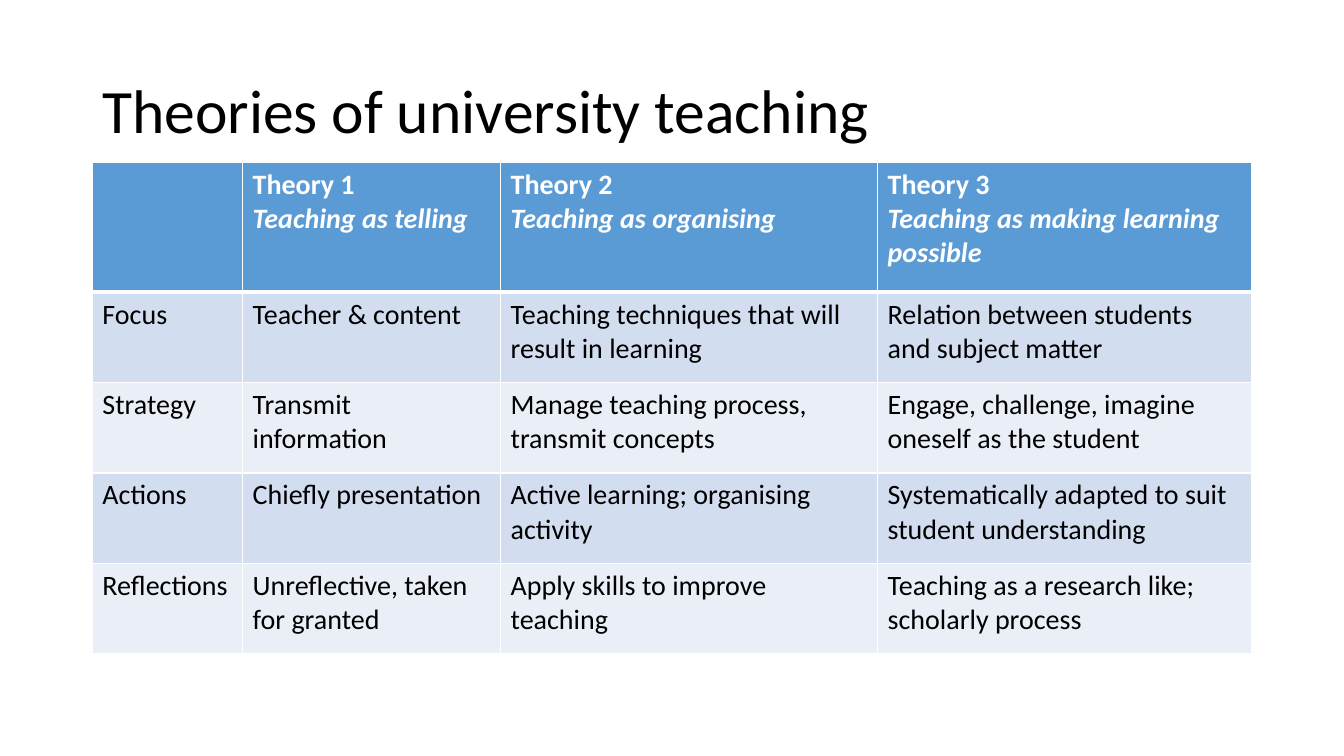
from dataclasses import dataclass

from lxml.etree import SubElement as Sub
from pptx import Presentation
from pptx.dml.color import RGBColor as RGB
from pptx.enum.text import MSO_ANCHOR as Anchor
from pptx.oxml.ns import qn
from pptx.util import Pt


@dataclass(frozen=True)
class Theme:
    font: str = "Calibri"
    ink: str = "000000"
    white: str = "FFFFFF"
    head: str = "5B9BD5"
    bands: tuple = ("D2DEEF", "EAEFF7")
    title: int = 44
    body: int = 20
    thin: int = 1
    thick: int = 3


THEME = Theme()

TITLE = "Theories of university teaching"
THEORIES = [
    ("Theory 1", "Teaching as telling"),
    ("Theory 2", "Teaching as organising"),
    ("Theory 3", "Teaching as making learning possible"),
]
ASPECTS = [
    ("Focus", "Teacher & content",
     "Teaching techniques that will result in learning",
     "Relation between students and subject matter"),
    ("Strategy", "Transmit information",
     "Manage teaching process, transmit concepts",
     "Engage, challenge, imagine oneself as the student"),
    ("Actions", "Chiefly presentation",
     "Active learning; organising activity",
     "Systematically adapted to suit student understanding"),
    ("Reflections", "Unreflective, taken for granted",
     "Apply skills to improve teaching",
     "Teaching as a research like; scholarly process"),
]
WIDTHS = (107.3, 184.3, 269.3, 267.1)
HEIGHTS = (92.8,) + (64.6,) * len(ASPECTS)


def add_run(para, text, size, color, bold=False, italic=False):
    run = para.add_run()
    run.text = text
    font = run.font
    font.name, font.size = THEME.font, Pt(size)
    font.bold, font.italic = bold, italic
    font.color.rgb = RGB.from_string(color)


def add_title(slide, text):
    box = slide.shapes.add_textbox(Pt(66), Pt(28.8), Pt(828), Pt(104.4))
    frame = box.text_frame
    frame.word_wrap = True
    frame.vertical_anchor = Anchor.MIDDLE
    para = frame.paragraphs[0]
    para.line_spacing = 0.9
    add_run(para, text, THEME.title, THEME.ink)


def set_edges(cell, top, bottom):
    """Draw white borders; top and bottom are widths in points."""
    props = cell._tc.get_or_add_tcPr()
    edges = {"L": THEME.thin, "R": THEME.thin, "T": top, "B": bottom}
    for side, width in edges.items():
        line = Sub(props, qn(f"a:ln{side}"), w=str(Pt(width)))
        fill = Sub(line, qn("a:solidFill"))
        Sub(fill, qn("a:srgbClr"), val=THEME.white)


def paint(cell, color, top=THEME.thin, bottom=THEME.thin):
    # Borders come before the fill in the cell properties
    set_edges(cell, top, bottom)
    cell.fill.solid()
    cell.fill.fore_color.rgb = RGB.from_string(color)


def fill_head(table):
    for cell in table.rows[0].cells:
        paint(cell, THEME.head, bottom=THEME.thick)
    for col, (name, motto) in enumerate(THEORIES, 1):
        frame = table.cell(0, col).text_frame
        add_run(frame.paragraphs[0], name, THEME.body, THEME.white, bold=True)
        add_run(frame.add_paragraph(), motto, THEME.body, THEME.white,
                bold=True, italic=True)


def fill_body(table):
    for row, texts in enumerate(ASPECTS, 1):
        band = THEME.bands[(row - 1) % 2]
        top = THEME.thick if row == 1 else THEME.thin
        for col, text in enumerate(texts):
            cell = table.cell(row, col)
            paint(cell, band, top=top)
            add_run(cell.text_frame.paragraphs[0], text, THEME.body, THEME.ink)


def add_grid(slide):
    frame = slide.shapes.add_table(
        len(HEIGHTS), len(WIDTHS), Pt(66), Pt(116),
        Pt(sum(WIDTHS)), Pt(sum(HEIGHTS)))
    table = frame.table
    for col, width in zip(table.columns, WIDTHS):
        col.width = Pt(width)
    for row, height in zip(table.rows, HEIGHTS):
        row.height = Pt(height)
    fill_head(table)
    fill_body(table)


def main():
    deck = Presentation()
    deck.slide_width, deck.slide_height = Pt(960), Pt(540)
    slide = deck.slides.add_slide(deck.slide_layouts[6])
    add_title(slide, TITLE)
    add_grid(slide)
    deck.save("out.pptx")


main()
